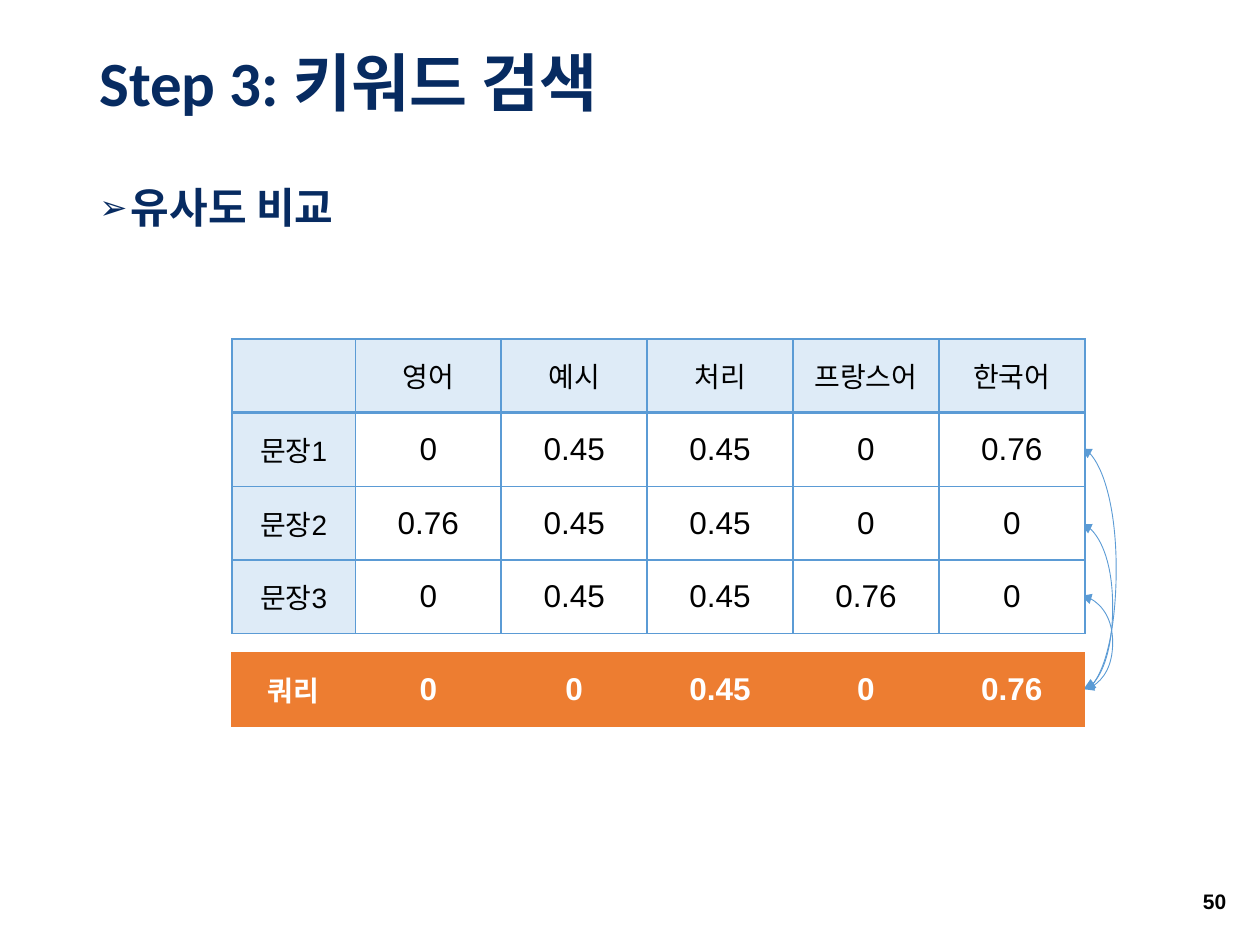
"""Build the keyword search slide that compares sentence vectors with a query."""
from lxml import etree
from pptx import Presentation
from pptx.dml.color import RGBColor
from pptx.enum import shapes, text
from pptx.oxml import ns
from pptx.util import Inches, Pt

TITLE = "Step 3: 키워드 검색"
SUBTITLE = "유사도 비교"
PAGE_NUMBER = "50"
SENTENCES = [
    ["", "영어", "예시", "처리", "프랑스어", "한국어"],
    ["문장1", "0", "0.45", "0.45", "0", "0.76"],
    ["문장2", "0.76", "0.45", "0.45", "0", "0"],
    ["문장3", "0", "0.45", "0.45", "0.76", "0"],
]
QUERY = [["쿼리", "0", "0", "0.45", "0", "0.76"]]
ARROWS = [(3.56, 8.61, 8.86), (4.16, 8.6, 8.83), (4.73, 8.6, 8.83)]
ARROW_LEFT, QUERY_MIDDLE = 8.58, 5.47
TABLE_LEFT, ROW_HEIGHT = 1.84, 0.585
COLUMN_WIDTHS = [0.98] + [1.158] * 5


class Theme:
    """Colours, fonts and type sizes."""
    navy, black, white = "072B61", "000000", "FFFFFF"
    blue, pale, orange = "5B9BD5", "DEEBF7", "ED7D31"
    heading, body = "Calibri", "Arial"
    title, subtitle, value, label, number = 36, 24, 18, 16, 12


def add_element(parent, tag, **attributes):
    """Append a drawing element and return it."""
    return etree.SubElement(parent, ns.qn(tag), **attributes)


def write(frame, content, size, color=Theme.black, font=Theme.body, bold=False,
          align=text.PP_ALIGN.LEFT, anchor=text.MSO_ANCHOR.MIDDLE, spacing=None, bullet=None):
    """Write one formatted paragraph into a text frame."""
    frame.word_wrap = True
    frame.vertical_anchor = anchor
    paragraph = frame.paragraphs[0]
    if bullet:
        properties = paragraph._p.get_or_add_pPr()
        properties.set("marL", str(Inches(0.25)))
        properties.set("indent", str(Inches(-0.25)))
        add_element(properties, "a:buSzPct", val="80000")
        add_element(properties, "a:buFont", typeface=Theme.body)
        add_element(properties, "a:buChar", char=bullet)
    paragraph.alignment = align
    paragraph.line_spacing = spacing
    run = paragraph.add_run()
    run.text = content
    run.font.size, run.font.bold, run.font.name = Pt(size), bold, font
    run.font.color.rgb = RGBColor.from_string(color)


def add_text(slide, box, content, **style):
    """Add a text box at left, top, width, height."""
    shape = slide.shapes.add_textbox(*map(Inches, box))
    write(shape.text_frame, content, **style)


def set_borders(cell, color, left=1, right=1, top=1, bottom=1):
    """Draw the four cell edges with widths in points."""
    properties = cell._tc.get_or_add_tcPr()
    for side, width in zip("LRTB", (left, right, top, bottom)):
        line = add_element(properties, f"a:ln{side}", w=str(Pt(width)))
        add_element(add_element(line, "a:solidFill"), "a:srgbClr", val=color)


def add_vectors(slide, top, rows, fill_of, edges_of, color, bold=False):
    """Add a table of labelled vectors."""
    frame = slide.shapes.add_table(len(rows), len(COLUMN_WIDTHS), Inches(TABLE_LEFT), Inches(top),
                                   Inches(sum(COLUMN_WIDTHS)), Inches(ROW_HEIGHT * len(rows)))
    table = frame.table
    table.first_row = table.horz_banding = False
    for column, width in zip(table.columns, COLUMN_WIDTHS):
        column.width = Inches(width)
    for r, values in enumerate(rows):
        table.rows[r].height = Inches(ROW_HEIGHT)
        for c, value in enumerate(values):
            cell = table.cell(r, c)
            set_borders(cell, **edges_of(r))
            cell.fill.solid()
            cell.fill.fore_color.rgb = RGBColor.from_string(fill_of(r, c))
            cell.vertical_anchor = text.MSO_ANCHOR.MIDDLE
            if value:
                size = Theme.value if value[0].isdigit() else Theme.label
                write(cell.text_frame, value, size, color, bold=bold,
                      align=text.PP_ALIGN.CENTER, anchor=None)


def add_arrow(slide, top, right, bow):
    """Add a double-headed curve from a sentence row to the query row."""
    connector = slide.shapes.add_connector(
        shapes.MSO_CONNECTOR.CURVE, *map(Inches, (ARROW_LEFT, top, right, QUERY_MIDDLE)))
    connector.line.color.rgb = RGBColor.from_string(Theme.blue)
    connector.line.width = Pt(0.5)
    line = connector.line._get_or_add_ln()
    for end in ("a:headEnd", "a:tailEnd"):
        add_element(line, end, type="triangle")
    properties = connector._element.spPr
    add_element(properties, "a:effectLst")
    ratio = round((bow - ARROW_LEFT) / (right - ARROW_LEFT) * 100000)
    guides = properties.find(ns.qn("a:prstGeom")).get_or_add_avLst()
    add_element(guides, "a:gd", name="adj1", fmla=f"val {ratio}")


def main():
    """Assemble and save the slide."""
    presentation = Presentation()
    presentation.slide_width, presentation.slide_height = Inches(10), Inches(7.5)
    slide = presentation.slides.add_slide(presentation.slide_layouts[6])
    heading = dict(color=Theme.navy, font=Theme.heading, bold=True, spacing=0.9)
    add_text(slide, (0.69, 0.18, 8.62, 1.01), TITLE, size=Theme.title, **heading)
    add_text(slide, (9.31, 6.95, 0.52, 0.4), PAGE_NUMBER, size=Theme.number, bold=True,
             align=text.PP_ALIGN.RIGHT)
    for arrow in ARROWS:
        add_arrow(slide, *arrow)
    add_text(slide, (0.69, 1.44, 8.62, 5.44), SUBTITLE, size=Theme.subtitle, bullet="➢",
             anchor=text.MSO_ANCHOR.TOP, **heading)
    add_vectors(slide, 2.69, SENTENCES,
                lambda r, c: Theme.white if r and c else Theme.pale,
                lambda r: dict(color=Theme.blue, top=2 if r == 1 else 1, bottom=1 if r else 2),
                Theme.black)
    add_vectors(slide, 5.18, QUERY, lambda r, c: Theme.orange,
                lambda r: dict(color=Theme.orange, left=0.5, right=0.5, top=0.5, bottom=0.5),
                Theme.white, bold=True)
    presentation.save("out.pptx")


if __name__ == "__main__":
    main()
